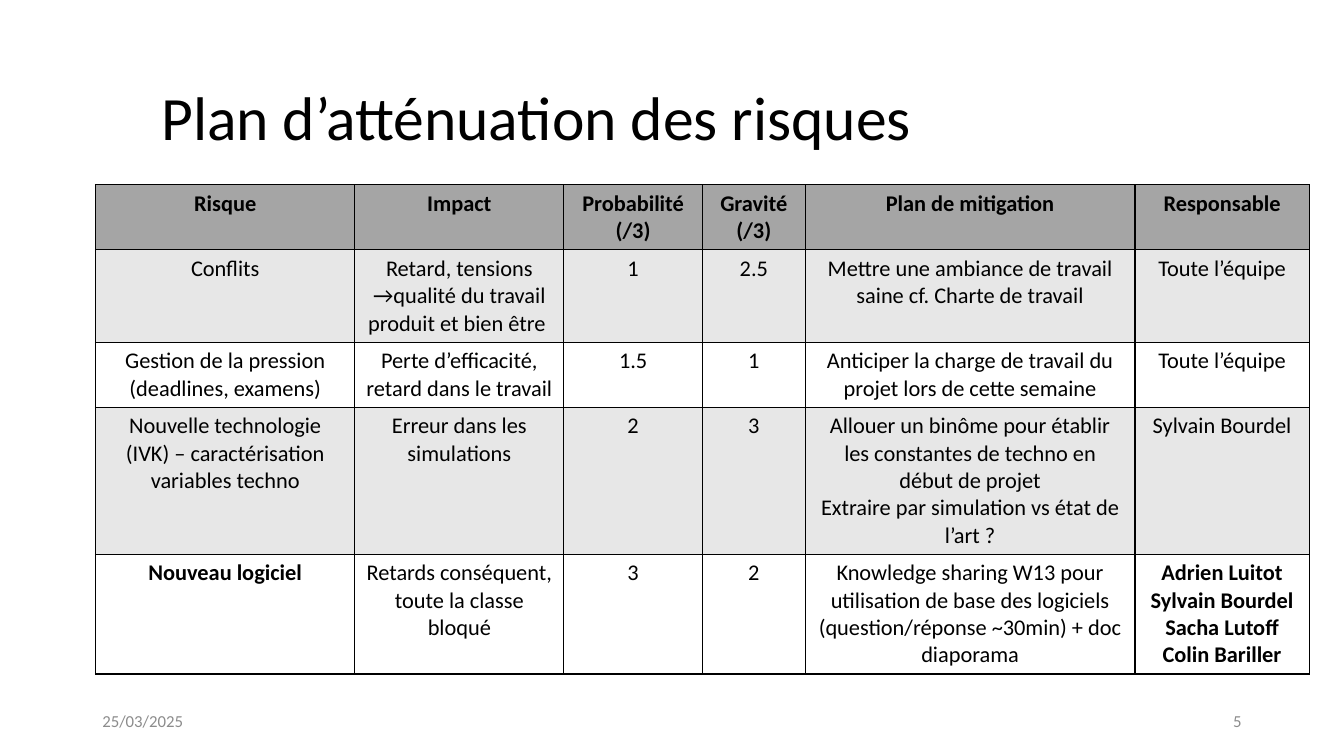
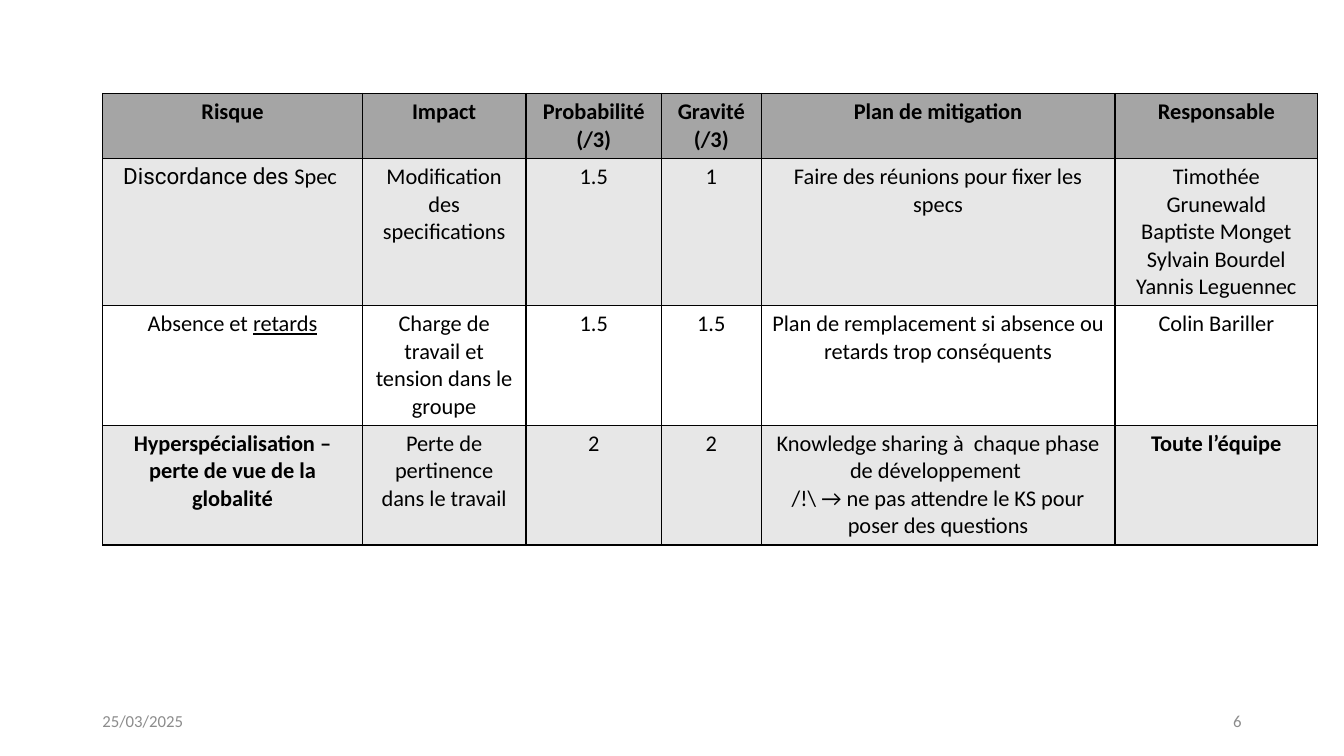
"""Build the two risk mitigation slides."""
from lxml import etree
from pptx import Presentation
from pptx import util as u
from pptx.dml.color import RGBColor
from pptx.enum import text
from pptx.oxml import ns

PX = 9525
FONT = "Calibri"
BLACK = RGBColor(0x00, 0x00, 0x00)
HEADER_GREY = RGBColor(0xA5, 0xA5, 0xA5)
BAND_GREY = RGBColor(0xE7, 0xE7, 0xE7)
WHITE = RGBColor(0xFF, 0xFF, 0xFF)
FOOTER_GREY = RGBColor(0x8C, 0x8C, 0x8C)

TITLE_ONLY, BLANK = 5, 6
LINE_HEIGHT, CELL_PADDING = 26, 10
DATE = "25/03/2025"
HEADER = ["Risque", "Impact", "Probabilité (/3)", "Gravité (/3)",
          "Plan de mitigation", "Responsable"]

SLIDES = [
    {
        "number": 5,
        "title": "Plan d’atténuation des risques",
        "origin": (91, 176),
        "columns": [247, 199, 132, 98, 314, 166],
        "row_lines": [2, 3, 2, 5, 4],
        "bold": {(4, 0), (4, 5)},
        "rows": [
            ["Conflits",
             "Retard, tensions →qualité du travail produit et bien être ",
             "1", "2.5",
             "Mettre une ambiance de travail saine cf. Charte de travail",
             "Toute l’équipe"],
            ["Gestion de la pression (deadlines, examens)",
             "Perte d’efficacité, retard dans le travail",
             "1.5", "1",
             "Anticiper la charge de travail du projet lors de cette semaine",
             "Toute l’équipe"],
            ["Nouvelle technologie (IVK) – caractérisation variables techno",
             "Erreur dans les simulations",
             "2", "3",
             "Allouer un binôme pour établir les constantes de techno en début de projet\n"
             "Extraire par simulation vs état de l’art ?",
             "Sylvain Bourdel"],
            ["Nouveau logiciel",
             "Retards conséquent, toute la classe bloqué",
             "3", "2",
             "Knowledge sharing W13 pour utilisation de base des logiciels "
             "(question/réponse ~30min) + doc diaporama",
             "Adrien Luitot\nSylvain Bourdel\nSacha Lutoff\nColin Bariller"],
        ],
    },
    {
        "number": 6,
        "title": None,
        "origin": (98, 89),
        "columns": [247, 156, 129, 95, 337, 193],
        "row_lines": [2, 5, 4, 4],
        "bold": {(3, 0), (3, 5)},
        "rows": [
            [[("Discordance des ", {"name": "Roboto"}), ("Spec ", {})],
             "Modification des specifications",
             "1.5", "1",
             "Faire des réunions pour fixer les specs",
             "Timothée Grunewald\nBaptiste Monget\nSylvain Bourdel\nYannis Leguennec"],
            [[("Absence et ", {}), ("retards", {"underline": True})],
             "Charge de travail et tension dans le groupe",
             "1.5", "1.5",
             "Plan de remplacement si absence ou retards trop conséquents",
             "Colin Bariller"],
            ["Hyperspécialisation – perte de vue de la globalité",
             "Perte de pertinence dans le travail",
             "2", "2",
             "Knowledge sharing à  chaque phase de développement \n"
             "/!\\ → ne pas attendre le KS pour poser des questions",
             "Toute l’équipe"],
        ],
    },
]


def px(*lengths):
    return [u.Emu(length * PX) for length in lengths]


def style(paragraph, size, color, alignment, bold=False):
    paragraph.alignment = alignment
    font = paragraph.font
    font.name, font.size, font.bold = FONT, u.Pt(size), bold
    font.color.rgb = color


def add_borders(cell):
    properties = cell._tc.get_or_add_tcPr()
    for side in ("a:lnL", "a:lnR", "a:lnT", "a:lnB"):
        line = etree.SubElement(properties, ns.qn(side), w=str(u.Pt(1)))
        fill = etree.SubElement(line, ns.qn("a:solidFill"))
        etree.SubElement(fill, ns.qn("a:srgbClr"), val=str(BLACK))


def fill_cell(cell, content, color, bold):
    add_borders(cell)
    cell.fill.solid()
    cell.fill.fore_color.rgb = color
    if isinstance(content, str):
        cell.text = content
    else:
        for words, attributes in content:
            run = cell.text_frame.paragraphs[0].add_run()
            run.text = words
            for name, value in attributes.items():
                setattr(run.font, name, value)
    for paragraph in cell.text_frame.paragraphs:
        style(paragraph, 16, BLACK, text.PP_ALIGN.CENTER, bold)


def add_risk_table(slide, content):
    rows = [HEADER] + content["rows"]
    heights = [CELL_PADDING + LINE_HEIGHT * lines for lines in content["row_lines"]]
    widths = content["columns"]
    frame = slide.shapes.add_table(
        len(rows), len(widths), *px(*content["origin"], sum(widths), sum(heights)))
    table = frame.table
    table.horz_banding = False
    for column, width in zip(table.columns, px(*widths)):
        column.width = width
    for row, height in zip(table.rows, px(*heights)):
        row.height = height
    for i, row in enumerate(rows):
        color = HEADER_GREY if i == 0 else BAND_GREY if i % 2 else WHITE
        for j, value in enumerate(row):
            fill_cell(table.cell(i, j), value, color, i == 0 or (i, j) in content["bold"])


def add_title(slide, words):
    title = slide.shapes.title
    title.left, title.top, title.width, title.height = px(144, 72, 1008, 85)
    frame = title.text_frame
    frame.text = words
    frame.auto_size = text.MSO_AUTO_SIZE.NONE
    frame.vertical_anchor = text.MSO_ANCHOR.MIDDLE
    paragraph = frame.paragraphs[0]
    paragraph.line_spacing = 0.9
    style(paragraph, 44, BLACK, text.PP_ALIGN.LEFT)


def add_footer(slide, number):
    for left, words, alignment in ((88, DATE, text.PP_ALIGN.LEFT),
                                   (904, str(number), text.PP_ALIGN.RIGHT)):
        frame = slide.shapes.add_textbox(*px(left, 667, 288, 38)).text_frame
        frame.word_wrap = True
        frame.vertical_anchor = text.MSO_ANCHOR.MIDDLE
        frame.text = words
        style(frame.paragraphs[0], 12, FOOTER_GREY, alignment)


def main():
    presentation = Presentation()
    presentation.slide_width, presentation.slide_height = px(1280, 720)
    for content in SLIDES:
        layout = TITLE_ONLY if content["title"] else BLANK
        slide = presentation.slides.add_slide(presentation.slide_layouts[layout])
        if content["title"]:
            add_title(slide, content["title"])
        add_risk_table(slide, content)
        add_footer(slide, content["number"])
    presentation.save("out.pptx")


if __name__ == "__main__":
    main()
